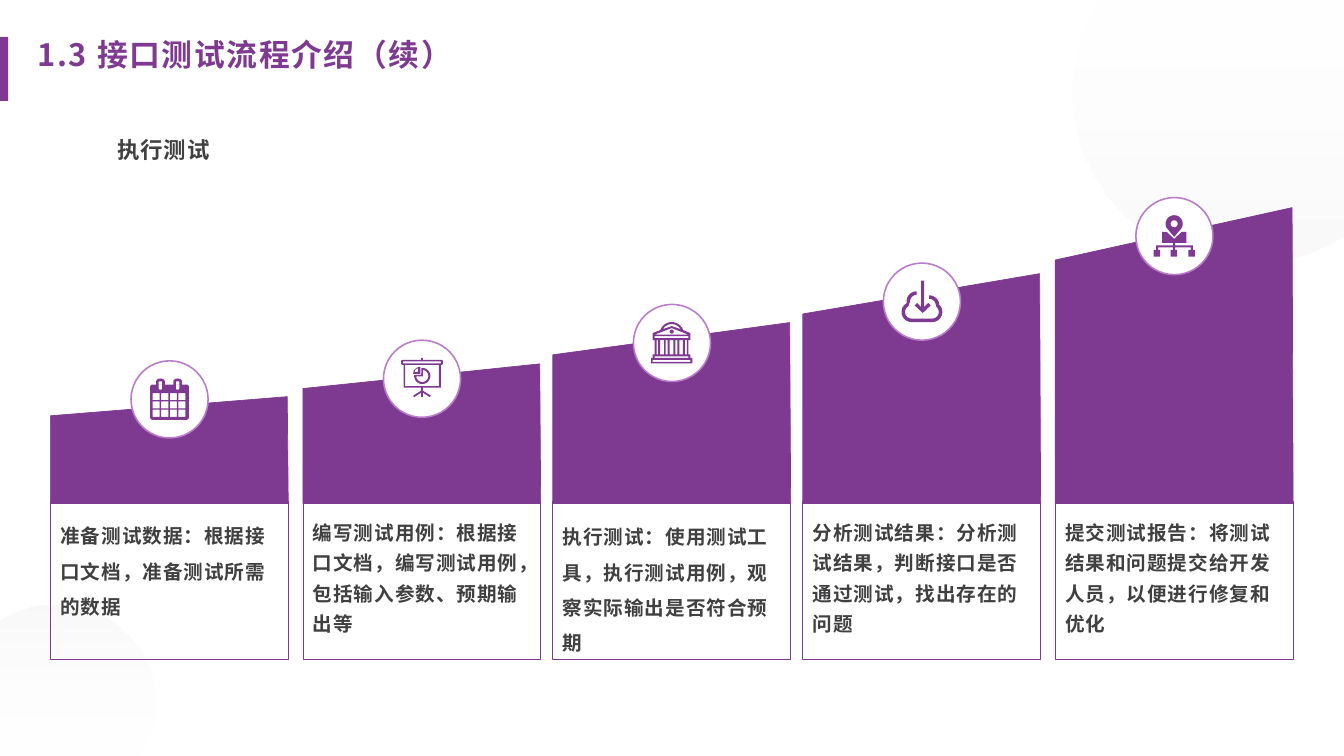
from dataclasses import dataclass
from math import cos, radians, sin

from lxml.etree import SubElement
from pptx import Presentation
from pptx.dml.color import RGBColor
from pptx.enum.shapes import MSO_SHAPE as SHAPE
from pptx.enum.text import MSO_ANCHOR as ANCHOR, PP_ALIGN as ALIGN
from pptx.oxml.ns import qn
from pptx.util import Inches, Pt

FONT = "Noto Sans CJK SC"
PURPLE, LILAC, WHITE, GREY, DARK = "7E3A91", "B97BCA", "FFFFFF", "E6E6E6", "404040"
COL_W, CIRCLE, BOX_TOP, BOX_H = 4.72, 1.53, 9.94, 3.14
Points = list[tuple[float, float]]


@dataclass
class Column:
    left: float
    slope_left: float
    slope_right: float
    circle_top: float
    text: str
    spacing: float
    text_top: float
    icon: list[Points]


def rgb(value: str) -> RGBColor:
    return RGBColor.from_string(value)


def box(x: float, y: float, w: float, h: float) -> Points:
    return [(x, y), (x + w, y), (x + w, y + h), (x, y + h)]


def arc(cx: float, cy: float, rx: float, start: float, end: float, ry: float = 0, steps: int = 24) -> Points:
    angles = [radians(start + (end - start) * i / steps) for i in range(steps + 1)]
    return [(cx + rx * cos(a), cy + (ry or rx) * sin(a)) for a in angles]


def rounded(x: float, y: float, w: float, h: float, r: float) -> Points:
    corners = [(x + w - r, y + r, -90), (x + w - r, y + h - r, 0), (x + r, y + h - r, 90), (x + r, y + r, 180)]
    return [pt for cx, cy, a in corners for pt in arc(cx, cy, r, a, a + 90, steps=6)]


def calendar_icon() -> list[Points]:
    rings = [shape for x in (0.15, 0.49) for shape in (box(x, 0.06, 0.17, 0.06),
             arc(x + 0.085, 0.06, 0.085, 180, 360, 0.06), rounded(x + 0.05, 0.05, 0.07, 0.17, 0.02))]
    cells = [box(0.08 + 0.17 * c, 0.29 + 0.165 * r, 0.14, 0.14) for r in range(3) for c in range(4)]
    return [rounded(0.03, 0.12, 0.77, 0.7, 0.05), *rings, *cells]


def board_icon() -> list[Points]:
    leg = [(0.4, 0.65), (0.24, 0.75), (0.26, 0.78), (0.4, 0.69)]
    return [
        rounded(0, 0.04, 0.83, 0.1, 0.03), box(0.04, 0.07, 0.75, 0.04),
        box(0.05, 0.14, 0.74, 0.45), box(0.08, 0.14, 0.67, 0.42),
        box(0.4, 0, 0.03, 0.04), box(0.4, 0.59, 0.03, 0.19),
        leg, [(0.83 - x, y) for x, y in leg],
        arc(0.42, 0.36, 0.16, -97, 187) + [(0.4, 0.34)],
        arc(0.42, 0.36, 0.12, -85, 175) + [(0.43, 0.37)],
        arc(0.38, 0.32, 0.14, 180, 270) + [(0.38, 0.32)],
        arc(0.34, 0.28, 0.07, 180, 270) + [(0.34, 0.28)],
    ]


def bank_icon() -> list[Points]:
    gaps = [(0.11, 0.03), (0.18, 0.08), (0.29, 0.04), (0.37, 0.07), (0.48, 0.04), (0.56, 0.07), (0.67, 0.04)]
    return [
        [(0.03, 0.28), (0.03, 0.22)] + arc(0.41, 0.24, 0.24, 200, 340) + [(0.78, 0.22), (0.78, 0.28)],
        arc(0.41, 0.24, 0.2, 210, 330) + [(0.41, 0.08)],
        [(0.07, 0.25), (0.41, 0.12), (0.74, 0.25)], arc(0.41, 0.19, 0.04, 0, 360),
        box(0.03, 0.28, 0.04, 0.08), box(0.74, 0.28, 0.04, 0.08),
        box(0.07, 0.32, 0.67, 0.36), *[box(x, 0.36, w, 0.28) for x, w in gaps],
        box(0.03, 0.64, 0.04, 0.07), box(0.74, 0.64, 0.04, 0.07),
        box(0, 0.71, 0.82, 0.11), box(0.03, 0.75, 0.75, 0.04),
    ]


def cloud_side(r: float) -> Points:
    return (arc(0.31, 0.41, r, 270, 180) + arc(0.21, 0.62, r, 240, 90)
            + arc(0.62, 0.62, r, 90, -50) + arc(0.56, 0.49, r, -10, -90))


def cloud_icon() -> list[Points]:
    arrow = [(0.4, 0), (0.46, 0), (0.46, 0.52), (0.54, 0.44), (0.59, 0.49),
             (0.43, 0.64), (0.27, 0.49), (0.32, 0.44), (0.4, 0.52)]
    return [cloud_side(0.2) + cloud_side(0.13)[::-1], arrow]


def map_icon() -> list[Points]:
    nodes = [shape for x in (0, 0.34, 0.69)
             for shape in (box(x + 0.05, 0.64, 0.04, 0.05), box(x, 0.69, 0.13, 0.13))]
    return [
        arc(0.41, 0.17, 0.17, 150, 390) + [(0.41, 0.43)], arc(0.41, 0.17, 0.07, 0, 360),
        [(0.17, 0.33), (0.26, 0.33), (0.41, 0.47), (0.56, 0.33), (0.65, 0.33), (0.65, 0.55), (0.17, 0.55)],
        box(0.39, 0.55, 0.04, 0.05), box(0.05, 0.6, 0.73, 0.04), *nodes,
    ]


def style(sp, fill: str = "", line: str = "", width: float = 1):
    sp.shadow.inherit = False
    if fill:
        sp.fill.solid()
        sp.fill.fore_color.rgb = rgb(fill)
    else:
        sp.fill.background()
    if line:
        sp.line.color.rgb = rgb(line)
        sp.line.width = Pt(width)
    else:
        sp.line.fill.background()
    return sp


def add_preset(s, kind: SHAPE, x: float, y: float, w: float, h: float, **look):
    return style(s.shapes.add_shape(kind, Inches(x), Inches(y), Inches(w), Inches(h)), **look)


def add_outline(s, contours: list[Points], dx: float = 0, dy: float = 0, **look):
    builder = None
    for contour in contours:
        pts = [(Inches(x + dx), Inches(y + dy)) for x, y in contour]
        if builder is None:
            builder = s.shapes.build_freeform(*pts[0])
        else:
            builder.move_to(*pts[0])
        builder.add_line_segments(pts[1:], close=True)
    return style(builder.convert_to_shape(), **look)


def add_blob(s, points: Points, angle: float) -> None:
    sp = add_outline(s, [points])
    sp.fill.gradient()
    sp.fill.gradient_angle = angle
    for stop, color in zip(sp.fill.gradient_stops, (WHITE, GREY)):
        stop.color.rgb = rgb(color)
    for clr, alpha in zip(sp._element.spPr.iter(qn("a:srgbClr")), (10, 24)):
        SubElement(clr, qn("a:alpha")).set("val", str(alpha * 1000))


def add_text(s, text: str, x: float, y: float, w: float, h: float, size: float, color: str, tracking: float,
             insets: tuple = (0, 0, 0, 0), anchor=ANCHOR.MIDDLE, align=ALIGN.LEFT, spacing: float = 1.0) -> None:
    tf = s.shapes.add_textbox(Inches(x), Inches(y), Inches(w), Inches(h)).text_frame
    tf.word_wrap = True
    tf.vertical_anchor = anchor
    tf.margin_left, tf.margin_top, tf.margin_right, tf.margin_bottom = map(Inches, insets)
    tf.text = text
    p = tf.paragraphs[0]
    p.alignment, p.line_spacing = align, spacing
    r = p.runs[0]
    r.font.name, r.font.size, r.font.bold = FONT, Pt(size), True
    r.font.color.rgb = rgb(color)
    props = r._r.get_or_add_rPr()
    props.set("spc", str(round(tracking * 100)))
    SubElement(props, qn("a:ea")).set("typeface", FONT)


def add_column(s, c: Column) -> None:
    slope = [(c.left + COL_W - 0.02, c.slope_right), (c.left, c.slope_left),
             (c.left, 9.99), (c.left + COL_W, 9.99)]
    add_outline(s, [slope], fill=PURPLE, line=PURPLE)
    add_preset(s, SHAPE.RECTANGLE, c.left, BOX_TOP, COL_W, BOX_H, line=PURPLE)
    add_preset(s, SHAPE.OVAL, c.left + 1.6, c.circle_top, CIRCLE, CIRCLE, fill=WHITE, line=LILAC, width=2.25)
    add_outline(s, c.icon, c.left + 1.95, c.circle_top + 0.35, fill=PURPLE)
    add_text(s, c.text, c.left, c.text_top, COL_W + 0.01, 2.64, 28, DARK, 1.4,
             (0.2, 0, 0.2, 0.1), ANCHOR.TOP, spacing=c.spacing)


COLUMNS = [
    Column(1, 8.25, 7.87, 7.16, "准备测试数据：根据接口文档，准备测试所需的数据", 1.5, 10.17, calendar_icon()),
    Column(6.01, 7.71, 7.22, 6.75, "编写测试用例：根据接口文档，编写测试用例，包括输入参数、预期输出等",
           1.3, 10.19, board_icon()),
    Column(10.97, 7.04, 6.4, 6.04, "执行测试：使用测试工具，执行测试用例，观察实际输出是否符合预期",
           1.5, 10.19, bank_icon()),
    Column(15.93, 6.23, 5.43, 5.22, "分析测试结果：分析测试结果，判断接口是否通过测试，找出存在的问题",
           1.3, 10.19, cloud_icon()),
    Column(20.94, 5.16, 4.12, 3.92, "提交测试报告：将测试结果和问题提交给开发人员，以便进行修复和优化",
           1.3, 10.19, map_icon()),
]


def main() -> None:
    prs = Presentation()
    prs.slide_width, prs.slide_height = Inches(26.67), Inches(15)
    s = prs.slides.add_slide(prs.slide_layouts[6])
    add_blob(s, [(21.83, 0), (26.67, 0)] + arc(24.74, 1.85, 3.46, 56, 208, 3.41), 270)
    add_blob(s, [(2.77, 15), (0, 15)] + arc(1.1, 13.94, 1.99, -123.5, 28, 1.95), 90)
    for column in COLUMNS:
        add_column(s, column)
    add_text(s, "1.3 接口测试流程介绍（续）", 0.74, 0.41, 11.18, 1.27, 44, PURPLE, 2.3, spacing=1.1)
    add_preset(s, SHAPE.RECTANGLE, 0, 0.73, 0.16, 1.27, fill=PURPLE)
    add_text(s, "执行测试", 0.18, 2.54, 6.13, 0.84, 32, DARK, 1.5, (0.08,) * 4, align=ALIGN.CENTER)
    prs.save("out.pptx")


if __name__ == "__main__":
    main()
